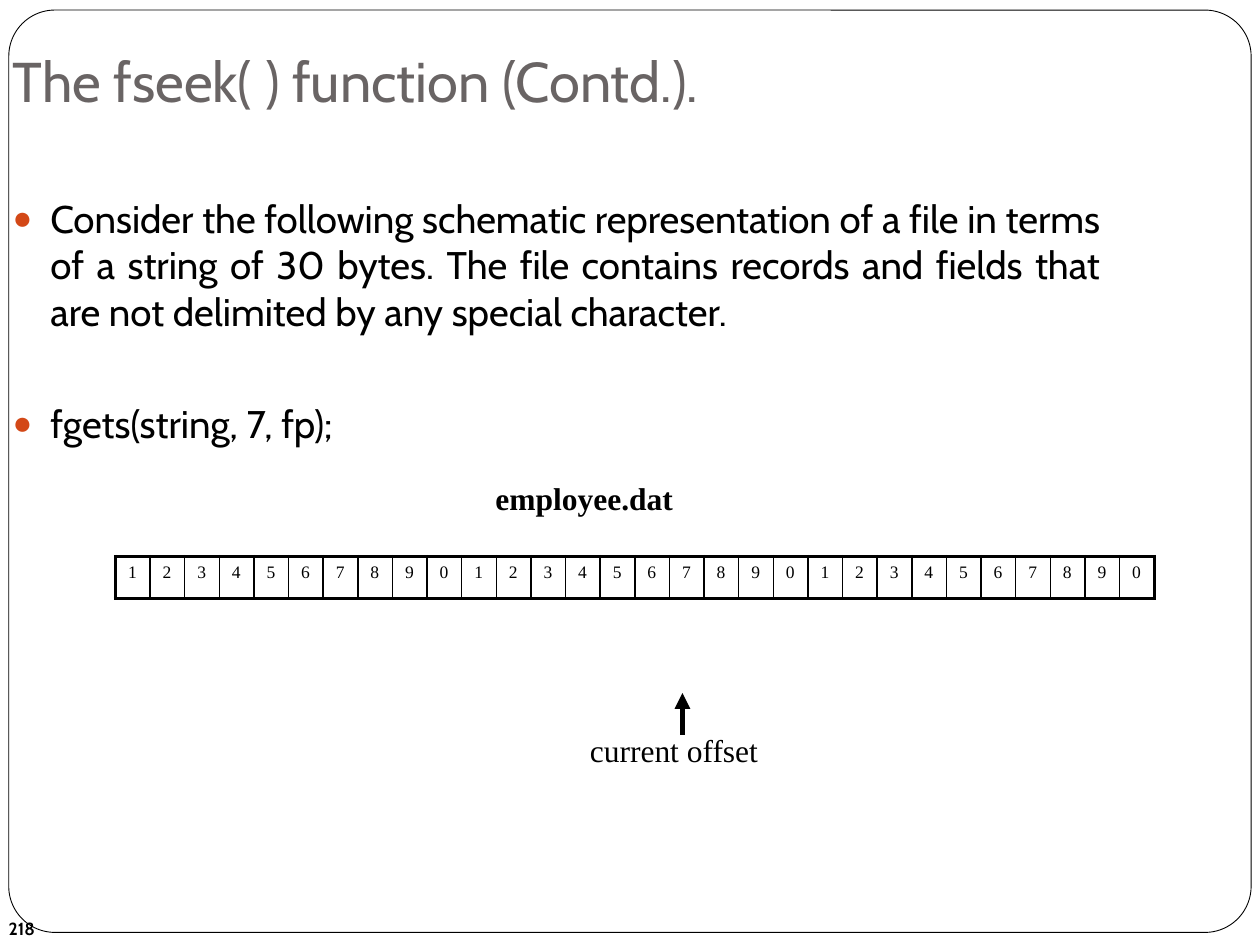
from lxml.etree import SubElement
from pptx import Presentation
from pptx.dml.color import RGBColor
from pptx.enum.shapes import MSO_CONNECTOR, MSO_SHAPE
from pptx.enum.text import MSO_ANCHOR as Anchor, MSO_AUTO_SIZE as AutoSize, PP_ALIGN as Align
from pptx.oxml.ns import qn
from pptx.util import Emu, Inches, Pt

COLUMNS_PER_INCH = 12
SANS, SERIF = "Cabin", "Times New Roman"
BLACK, WHITE, GREY, ORANGE = "000000", "FFFFFF", "696464", "D34817"
BYTE_COUNT = 30
BULLETS = [
    "Consider the following schematic representation of a file in terms of a string of "
    "30 bytes. The file contains records and fields that are not delimited by any "
    "special character.",
    "fgets(string, 7, fp);",
]


def grid(*units):
    """Turn grid units (120 columns by 90 rows on the slide) into lengths."""
    return [Inches(unit / COLUMNS_PER_INCH) for unit in units]


def rgb(color):
    return RGBColor.from_string(color)


def set_font(paragraph, name, size, color=BLACK, bold=False):
    font = paragraph.font
    font.name, font.size, font.bold = name, Pt(size), bold
    font.color.rgb = rgb(color)


def place(placeholder, left, top, width, height):
    placeholder.left, placeholder.top, placeholder.width, placeholder.height = grid(
        left, top, width, height)
    placeholder.text_frame.auto_size = AutoSize.NONE


def add_frame(slide):
    frame = slide.shapes.add_shape(
        MSO_SHAPE.ROUNDED_RECTANGLE, *[Inches(v) for v in (0.07, 0.08, 9.86, 7.32)])
    frame.adjustments[0] = 0.05
    frame.shadow.inherit = False
    frame.fill.solid()
    frame.fill.fore_color.rgb = rgb(WHITE)
    frame.line.color.rgb = rgb(BLACK)
    frame.line.width = Pt(0.5)
    # Send the frame behind the placeholders
    frame.element.getparent().insert(2, frame.element)


def fill_title(title, text):
    place(title, 0, 0, 99.25, 12)
    box = title.text_frame
    box.text = text
    box.vertical_anchor = Anchor.BOTTOM
    box.margin_bottom = Inches(0.1)
    box.paragraphs[0].alignment = Align.LEFT
    set_font(box.paragraphs[0], SANS, 32, GREY)


def add_bullet(paragraph):
    props = paragraph._p.get_or_add_pPr()
    props.set("marL", str(Inches(0.3)))
    props.set("indent", str(Inches(-0.3)))
    SubElement(SubElement(props, qn("a:buClr")), qn("a:srgbClr"), val=ORANGE)
    SubElement(props, qn("a:buSzPct"), val="85000")
    SubElement(props, qn("a:buChar"), char="●")


def fill_body(body, items):
    place(body, 0, 18, 106, 36)
    box = body.text_frame
    box.text = "\n".join(items)
    for index, paragraph in enumerate(box.paragraphs):
        add_bullet(paragraph)
        paragraph.alignment = Align.JUSTIFY
        paragraph.space_before = Pt(38 if index else 0)
        set_font(paragraph, SANS, 22)


def add_label(slide, text, left, top, width, name, size, bold=False):
    box = slide.shapes.add_textbox(*grid(left, top, width, 4.8)).text_frame
    box.word_wrap = True
    box.text = text
    set_font(box.paragraphs[0], name, size, bold=bold)
    return box


def add_border(cell, side, width):
    line = SubElement(cell._tc.get_or_add_tcPr(), qn(f"a:ln{side}"), w=str(Pt(width)))
    SubElement(SubElement(line, qn("a:solidFill")), qn("a:srgbClr"), val=BLACK)


def add_byte_strip(slide, left, top, width, height):
    strip = slide.shapes.add_table(1, BYTE_COUNT, *grid(left, top, width, height)).table
    strip.first_row = strip.horz_banding = False
    for index, column in enumerate(strip.columns):
        column.width = Emu(grid(width)[0] // BYTE_COUNT)
        cell = strip.cell(0, index)
        cell.text = str((index + 1) % 10)
        set_font(cell.text_frame.paragraphs[0], SERIF, 10)
        # Thick outer edges, thin lines between bytes
        add_border(cell, "L", 2.25 if index == 0 else 1)
        add_border(cell, "R", 2.25 if index == BYTE_COUNT - 1 else 1)
        add_border(cell, "T", 2.25)
        add_border(cell, "B", 2.25)
        cell.fill.background()


def add_up_arrow(slide, column, bottom, top):
    arrow = slide.shapes.add_connector(
        MSO_CONNECTOR.STRAIGHT, *grid(column, bottom, column, top))
    arrow.line.color.rgb = rgb(BLACK)
    arrow.line.width = Pt(3)
    SubElement(arrow.line._get_or_add_ln(), qn("a:tailEnd"), type="triangle")
    SubElement(arrow.element.spPr, qn("a:effectLst"))


def main():
    deck = Presentation()
    deck.slide_width, deck.slide_height = grid(120, 90)
    slide = deck.slides.add_slide(deck.slide_layouts[1])

    # Frame, title and bullets
    add_frame(slide)
    fill_title(slide.shapes.title, "The fseek( ) function (Contd.).")
    fill_body(slide.placeholders[1], BULLETS)

    # File diagram
    add_up_arrow(slide, 65, 70, 66)
    add_label(slide, "current offset", 55, 69, 21, SERIF, 18)
    add_label(slide, "employee.dat", 46, 45, 21, SERIF, 18, bold=True)
    add_byte_strip(slide, 11, 53, 99, 4)

    # Page number
    page = add_label(slide, "218", -0.36, 86, 28, SANS, 10, bold=True)
    page.vertical_anchor = Anchor.MIDDLE

    deck.save("out.pptx")


if __name__ == "__main__":
    main()
